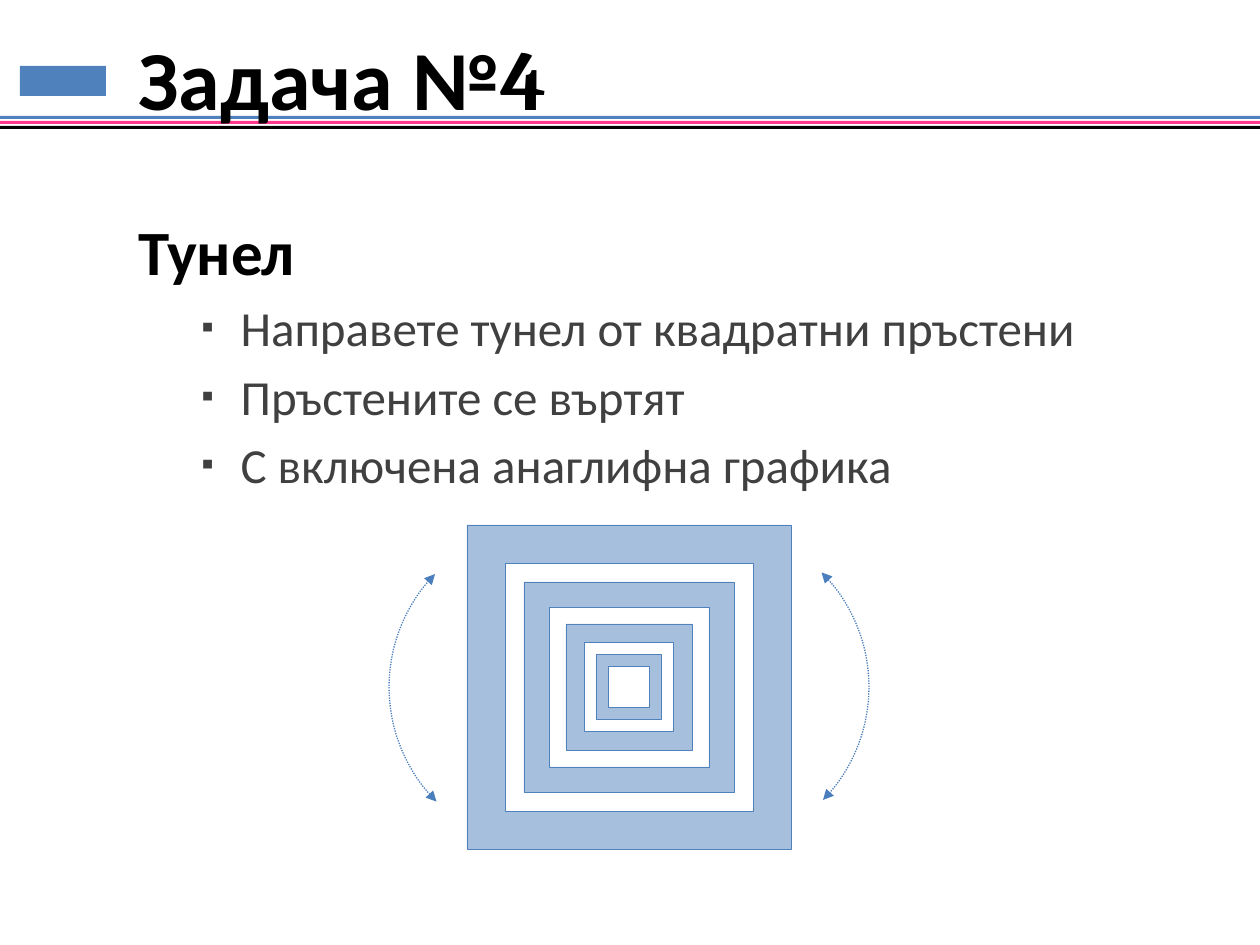
from dataclasses import dataclass

from lxml.etree import SubElement
from pptx import Presentation
from pptx.dml.color import RGBColor as RGB
from pptx.enum.dml import MSO_LINE as Dash
from pptx.enum.shapes import MSO_SHAPE as Kind
from pptx.enum.text import MSO_ANCHOR as Anchor, MSO_AUTO_SIZE as Fit, PP_ALIGN as Align
from pptx.oxml.ns import qn
from pptx.util import Pt

SCALE = 914400 / 126


@dataclass(frozen=True)
class Theme:
    """Colours, fonts and type sizes of the slide."""
    blue: str = "4F81BD"
    pink: str = "FF388C"
    black: str = "000000"
    grey: str = "404040"
    arc: str = "4B7EBC"
    font: str = "Calibri"
    digit: str = "Cambria"
    title: int = 48
    head: int = 36
    item: int = 28


THEME = Theme()


def emu(px):
    """Turn px into EMU."""
    return round(px * SCALE)


def place(shape, box):
    """Move a shape to a box given in px."""
    shape.left, shape.top, shape.width, shape.height = map(emu, box)


def draw(slide, kind, box, fill=None):
    """Add a flat preset shape without a line."""
    shape = slide.shapes.add_shape(kind, *map(emu, box))
    shape.shadow.inherit = False
    shape.line.fill.background()
    if fill:
        shape.fill.solid()
        shape.fill.fore_color.rgb = RGB.from_string(fill)
    else:
        shape.fill.background()
    return shape


def stroke(shape, color, width):
    """Give a shape a solid line."""
    shape.line.color.rgb = RGB.from_string(color)
    shape.line.width = Pt(width)


def write(para, text, size, color, bold=False, font=THEME.font):
    """Add one formatted run."""
    run = para.add_run()
    run.text = text
    run.font.name, run.font.size, run.font.bold = font, Pt(size), bold
    run.font.color.rgb = RGB.from_string(color)


def indent(para, left, hang=0):
    """Set the left margin and first-line indent in px."""
    props = para._p.get_or_add_pPr()
    props.set("marL", str(emu(left)))
    props.set("indent", str(emu(hang)))
    return props


def bullet(para):
    """Give a paragraph a small square bullet."""
    props = indent(para, 102, -39)
    tint = SubElement(props, qn("a:buClr"))
    SubElement(tint, qn("a:srgbClr"), val=THEME.grey)
    SubElement(props, qn("a:buSzPct"), val="70000")
    SubElement(props, qn("a:buFont"), typeface=THEME.font)
    SubElement(props, qn("a:buChar"), char="▪")


def band(slide, box):
    """Draw the badge and the three header rules."""
    x, y, w, h = box
    draw(slide, Kind.RECTANGLE, (x + 30, y, 86, 30), THEME.blue)
    for i, color in enumerate((THEME.blue, THEME.pink, THEME.black)):
        draw(slide, Kind.RECTANGLE, (x, y + h - 13 + 5 * i, w, 3), color)


def fill_title(slide, box):
    """Fill the title placeholder."""
    title = slide.shapes.title
    place(title, box)
    slide.shapes._spTree.append(title._element)
    frame = title.text_frame
    frame.auto_size, frame.vertical_anchor = Fit.NONE, Anchor.MIDDLE
    para = frame.paragraphs[0]
    para.alignment = Align.LEFT
    indent(para, 126)
    write(para, "Задача №", THEME.title, THEME.black, True)
    write(para, "4", THEME.title, THEME.black, True, THEME.digit)


def fill_body(slide, box, head, items):
    """Fill the body placeholder with a heading and its list."""
    body = slide.placeholders[1]
    place(body, box)
    slide.shapes._spTree.append(body._element)
    frame = body.text_frame
    frame.auto_size, frame.vertical_anchor = Fit.NONE, Anchor.TOP
    para = frame.paragraphs[0]
    SubElement(indent(para, 0), qn("a:buNone"))
    para.line_spacing, para.space_before = 1.5, Pt(0)
    write(para, head, THEME.head, THEME.black, True)
    for item in items:
        para = frame.add_paragraph()
        para.level = 1
        bullet(para)
        para.space_before = Pt(THEME.item * 0.2)
        write(para, item, THEME.item, THEME.grey)


def ring(slide, mid, size, adj):
    """Draw one translucent square ring around a centre."""
    x, y = mid
    shape = draw(slide, Kind.FRAME, (x - size / 2, y - size / 2, size, size), THEME.blue)
    shape.adjustments[0] = adj
    tint = shape.fill._xPr.find(qn("a:solidFill"))[0]
    SubElement(tint, qn("a:alpha"), val="50000")
    stroke(shape, THEME.blue, 0.25)


def swing(slide, box, turn):
    """Draw a dotted arc with an arrowhead at each end."""
    shape = draw(slide, Kind.ARC, box)
    shape.adjustments[0], shape.adjustments[1] = 189, 26.546
    shape.rotation = turn
    stroke(shape, THEME.arc, 0.75)
    shape.line.dash_style = Dash.ROUND_DOT
    for end in ("a:headEnd", "a:tailEnd"):
        SubElement(shape.line._get_or_add_ln(), qn(end), type="triangle")


def tunnel(slide, box):
    """Draw the nested rings and the turning arrows."""
    x, y, w, h = box
    mid = x + w / 2, y + h / 2
    for size, adj in ((126, 0.145), (210, 0.119), (324, 0.117), (65, 0.186)):
        ring(slide, mid, size, adj)
    for side, turn in ((1, 0), (-1, 180)):
        swing(slide, (x + 78 * side, y, w, h), turn)


def main():
    """Build and save the slide."""
    deck = Presentation()
    deck.slide_width, deck.slide_height = emu(1260), emu(945)
    slide = deck.slides.add_slide(deck.slide_layouts[1])
    band(slide, (-10, 66, 1281, 63))
    fill_title(slide, (0, 32, 1260, 89))
    fill_body(slide, (126, 168, 1124, 766), "Тунел", (
        "Направете тунел от квадратни пръстени",
        "Пръстените се въртят",
        "С включена анаглифна графика",
    ))
    tunnel(slide, (467, 525, 324, 324))
    deck.save("out.pptx")


if __name__ == "__main__":
    main()
